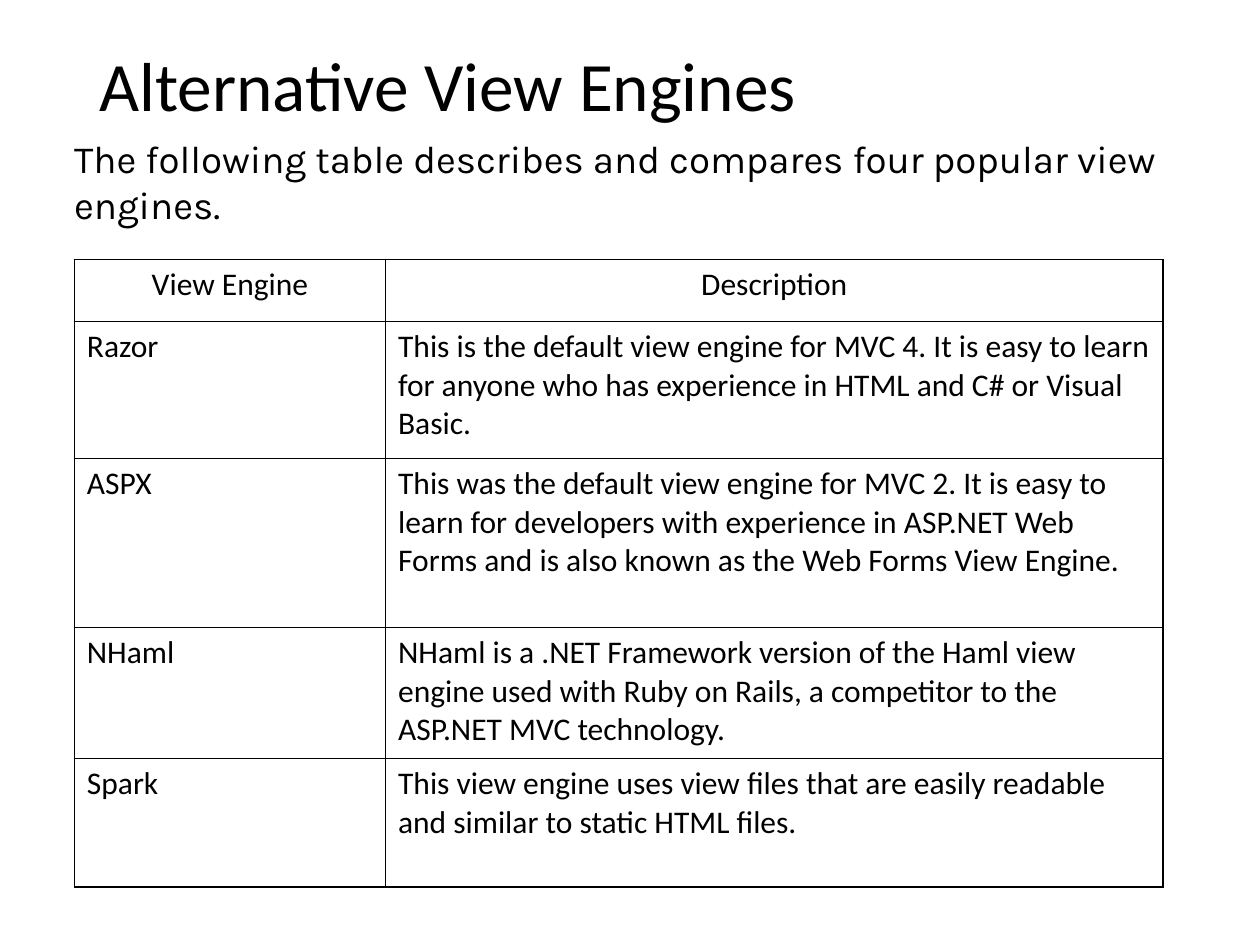
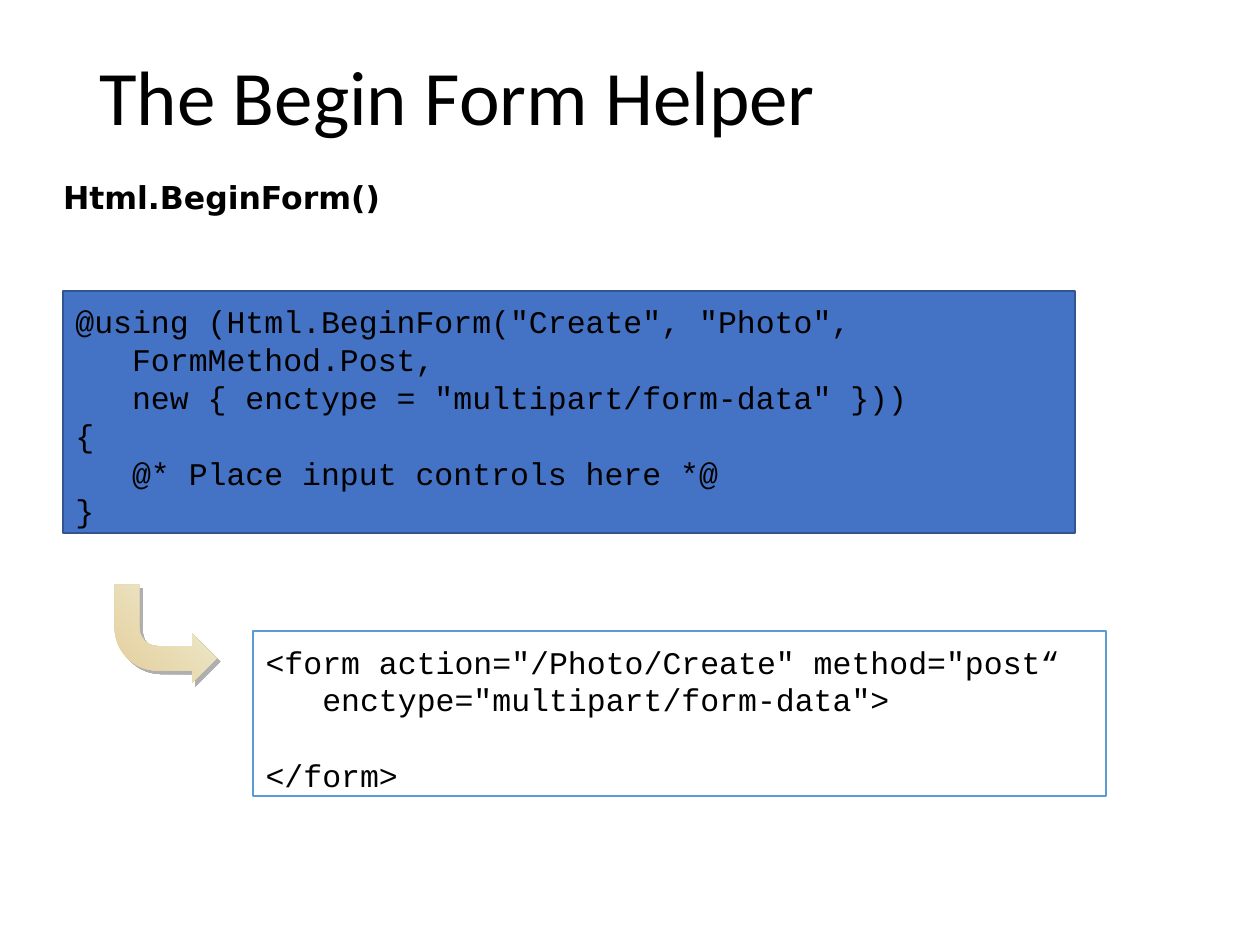
import pptx
import pptx.util
import pptx.dml.color
import pptx.enum.shapes
import pptx.enum.text
import pptx.oxml
import pptx.oxml.ns
from pptx.util import Inches

BLACK = pptx.dml.color.RGBColor(0x00, 0x00, 0x00)
WHITE = pptx.dml.color.RGBColor(0xFF, 0xFF, 0xFF)
CODE_BLUE = pptx.dml.color.RGBColor(0x44, 0x72, 0xC4)
CODE_EDGE = pptx.dml.color.RGBColor(0x32, 0x54, 0x91)
RESULT_EDGE = pptx.dml.color.RGBColor(0x5B, 0x9B, 0xD5)
SAND = pptx.dml.color.RGBColor(0xE4, 0xCD, 0x9A)
CREAM = pptx.dml.color.RGBColor(0xEE, 0xEF, 0xD7)
NAMESPACE = pptx.oxml.ns.nsdecls("a")


def style(para, font, size, bold=False):
    para.font.name = font
    para.font.size = pptx.util.Pt(size)
    para.font.bold = bold
    para.font.color.rgb = BLACK


def add_text(page, place, text, font, size, bold=False):
    box = page.shapes.add_textbox(*map(Inches, place))
    box.text_frame.word_wrap = True
    para = box.text_frame.paragraphs[0]
    para.text = text
    style(para, font, size, bold)
    return box


deck = pptx.Presentation()
deck.slide_width = Inches(10)
deck.slide_height = Inches(7.5)

pages = []
for title, height, size in [
    ("Alternative View Engines", 0.62, 39.6),
    ("The Begin Form Helper", 0.79, 44),
]:
    page = deck.slides.add_slide(deck.slide_layouts[6])
    box = add_text(page, (0.69, 0.4, 8.62, height), title, "Calibri", size)
    box.text_frame.vertical_anchor = pptx.enum.text.MSO_ANCHOR.MIDDLE
    box.text_frame.paragraphs[0].line_spacing = 0.9
    pages.append(page)
engines_page, form_page = pages

engines = [
    ("View Engine", "Description"),
    ("Razor", "This is the default view engine for MVC 4. It is easy to learn for anyone "
     "who has experience in HTML and C# or Visual Basic."),
    ("ASPX", "This was the default view engine for MVC 2. It is easy to learn for developers "
     "with experience in ASP.NET Web Forms and is also known as the Web Forms View Engine."),
    ("NHaml", "NHaml is a .NET Framework version of the Haml view engine used with "
     "Ruby on Rails, a competitor to the ASP.NET MVC technology."),
    ("Spark", "This view engine uses view files that are easily readable and similar "
     "to static HTML files."),
]
table = engines_page.shapes.add_table(
    len(engines), 2, Inches(0.59), Inches(2.06), Inches(8.64), Inches(4.98)
).table
for column, width in zip(table.columns, [2.47, 6.17]):
    column.width = Inches(width)
for row, height in zip(table.rows, [0.49, 1.09, 1.34, 1.04, 1.02]):
    row.height = Inches(height)
for row_index, texts in enumerate(engines):
    for column_index, text in enumerate(texts):
        cell = table.cell(row_index, column_index)
        cell.text = text
        para = cell.text_frame.paragraphs[0]
        style(para, "Calibri", 18)
        if row_index == 0:
            para.alignment = pptx.enum.text.PP_ALIGN.CENTER
        properties = cell._tc.get_or_add_tcPr()
        for side in ["lnL", "lnR", "lnT", "lnB"]:
            properties.append(pptx.oxml.parse_xml(
                f'<a:{side} {NAMESPACE} w="12700"><a:solidFill>'
                f'<a:srgbClr val="{BLACK}"/></a:solidFill></a:{side}>'
            ))
        cell.fill.solid()
        cell.fill.fore_color.rgb = WHITE

add_text(engines_page, (0.49, 1.02, 8.93, 1.21),
         "The following table describes and compares four popular view engines.", "Karla", 22)

box = add_text(form_page, (0.5, 1.41, 8.88, 0.69), "Html.BeginForm()", "DejaVu Sans", 18, True)
frame = box.text_frame
frame.margin_left = frame.margin_right = frame.margin_top = frame.margin_bottom = 0

razor_lines = [
    ('@using (Html.BeginForm("Create", "Photo",', 0, 0),
    ("FormMethod.Post,", 0.45, 0),
    ('new { enctype = "multipart/form-data" }))', 0.45, 0),
    ("{", 0, 0),
    ("@* Place input controls here *@", 0.45, 0),
    ("}", 0, 0),
]
html_lines = [
    ('<form action="/Photo/Create" method="post“', 0, 0),
    ('enctype="multipart/form-data">', 0.45, 0),
    ("</form>", 0, 21.6),
]
for place, fill, edge, lines in [
    ((0.5, 2.31, 8.03, 1.92), CODE_BLUE, CODE_EDGE, razor_lines),
    ((2.01, 5.01, 6.77, 1.31), WHITE, RESULT_EDGE, html_lines),
]:
    box = form_page.shapes.add_shape(
        pptx.enum.shapes.MSO_SHAPE.RECTANGLE, *map(Inches, place))
    box.shadow.inherit = False
    box.fill.solid()
    box.fill.fore_color.rgb = fill
    box.line.color.rgb = edge
    box.line.width = pptx.util.Pt(1)
    frame = box.text_frame
    frame.word_wrap = True
    frame.vertical_anchor = pptx.enum.text.MSO_ANCHOR.TOP
    frame.margin_top = Inches(0.09)
    frame.margin_bottom = 0
    for index, (text, indent, gap) in enumerate(lines):
        para = frame.add_paragraph() if index else frame.paragraphs[0]
        para.text = text
        para.alignment = pptx.enum.text.PP_ALIGN.LEFT
        para.line_spacing = pptx.util.Pt(21.6)
        para.space_before = pptx.util.Pt(gap)
        para._p.get_or_add_pPr().set("marL", str(Inches(indent)))
        style(para, "Courier New", 18)

arrow = form_page.shapes.add_shape(
    pptx.enum.shapes.MSO_SHAPE.BENT_ARROW, Inches(0.91), Inches(4.64), Inches(0.81), Inches(0.78))
arrow._element.spPr.xfrm.set("flipV", "1")
arrow.line.fill.background()
arrow.fill.gradient()
arrow.fill.gradient_angle = 315
for stop, color in zip(arrow.fill.gradient_stops, [SAND, CREAM]):
    stop.color.rgb = color
arrow.shadow.inherit = False
effects = arrow._element.spPr.find(pptx.oxml.ns.qn("a:effectLst"))
effects.append(pptx.oxml.parse_xml(
    f'<a:outerShdw {NAMESPACE} dist="35560" dir="2700000" algn="ctr" rotWithShape="0">'
    '<a:srgbClr val="AFAFAF"/></a:outerShdw>'
))

deck.save("out.pptx")
